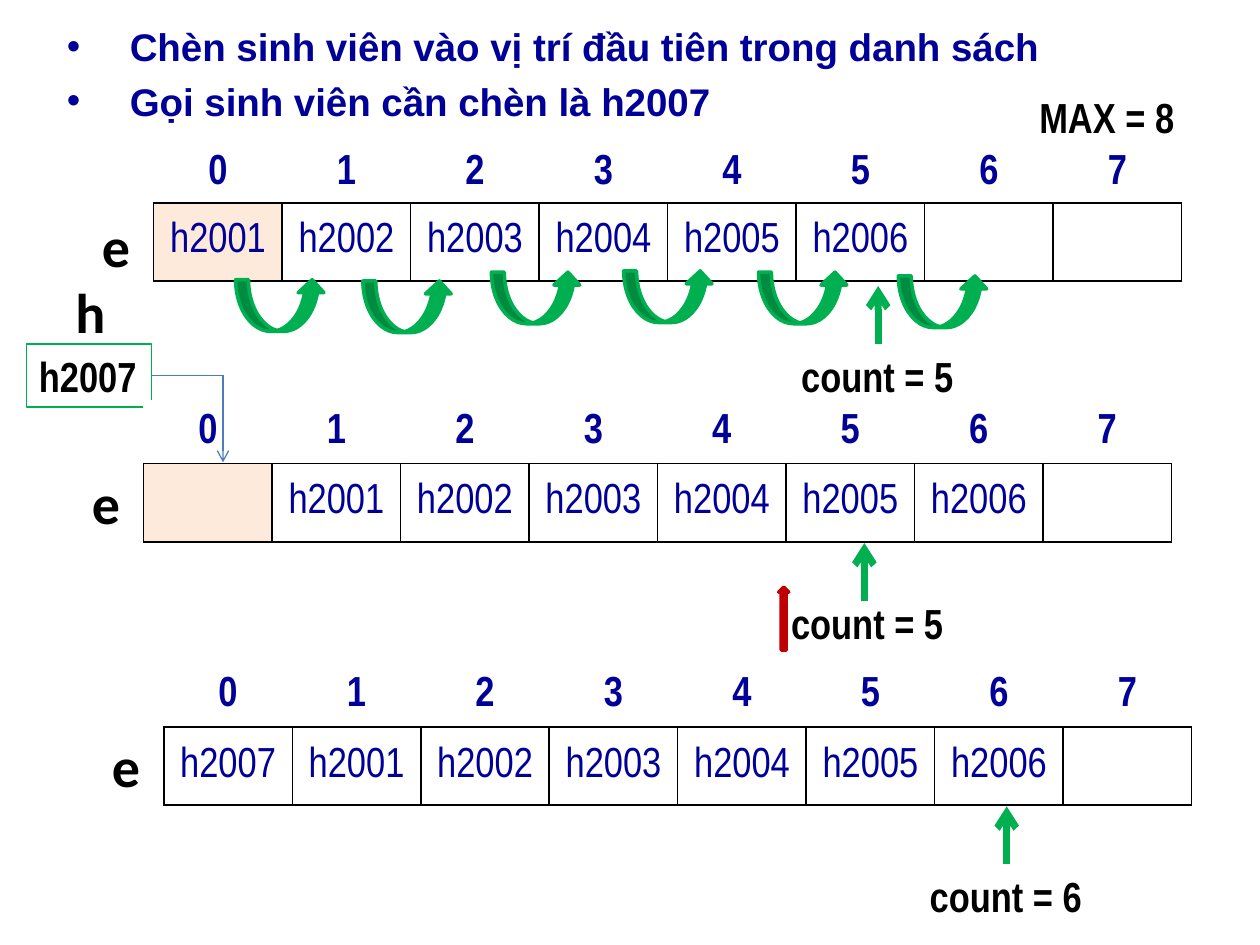
from lxml.etree import SubElement
from pptx import Presentation
from pptx.dml.color import RGBColor
from pptx.enum.shapes import MSO_CONNECTOR, MSO_SHAPE
from pptx.enum.text import MSO_ANCHOR, MSO_AUTO_SIZE, PP_ALIGN
from pptx.oxml.ns import qn
from pptx.util import Inches, Pt

NAVY, BLACK, WHITE, PEACH = "000099", "000000", "FFFFFF", "FDEADA"
GREEN, RED, BLUE = "00B050", "C00000", "4B7EBC"


def color(value):
    """Turn a hex string into a colour."""
    return RGBColor.from_string(value)


class ArraySlide:
    """Holds the slide and draws elements in its style."""

    narrow = "Arial Narrow"
    column_width = 1.02
    row_heights = (0.47, 0.62)

    def __init__(self, presentation):
        """Add a slide that keeps only its subtitle placeholder."""
        self.slide = presentation.slides.add_slide(presentation.slide_layouts[0])
        self.shapes = self.slide.shapes
        title = self.shapes.title.element
        title.getparent().remove(title)

    def run(self, paragraph, text, size=24, font=narrow, ink=BLACK, bold=True):
        """Add one formatted run."""
        run = paragraph.add_run()
        run.text = text
        run.font.size, run.font.name, run.font.bold = Pt(size), font, bold
        run.font.color.rgb = color(ink)

    def bullets(self, lines, left, top, width, height):
        """Fill the subtitle placeholder with bulleted lines."""
        shape = self.slide.placeholders[1]
        shape.left, shape.top = Inches(left), Inches(top)
        shape.width, shape.height = Inches(width), Inches(height)
        frame = shape.text_frame
        frame.auto_size = MSO_AUTO_SIZE.NONE
        frame.vertical_anchor = MSO_ANCHOR.TOP
        for index, line in enumerate(lines):
            paragraph = frame.add_paragraph() if index else frame.paragraphs[0]
            paragraph.alignment = PP_ALIGN.JUSTIFY
            paragraph.space_before = Pt(5)
            properties = paragraph._p.get_or_add_pPr()
            properties.set("marL", str(Inches(0.5)))
            properties.set("indent", str(-Inches(0.5)))
            SubElement(properties, qn("a:buFont"), typeface="Arial")
            SubElement(properties, qn("a:buChar"), char="•")
            self.run(paragraph, line, 22, "Arial", NAVY)

    def label(self, text, left, top, width=1.42, height=0.5, size=24, font=narrow):
        """Add a bold text box and return it."""
        shape = self.shapes.add_textbox(
            Inches(left), Inches(top), Inches(width), Inches(height))
        shape.text_frame.word_wrap = True
        self.run(shape.text_frame.paragraphs[0], text, size, font)
        return shape

    def name(self, text, left, top):
        """Add the large name of a variable."""
        self.label(text, left, top, 0.35, 0.64, 32, "Calibri")

    def border(self, cell, sides):
        """Draw thin black borders on the given sides of a cell."""
        properties = cell._tc.get_or_add_tcPr()
        for side in sides:
            line = SubElement(properties, qn(f"a:ln{side}"), w=str(Pt(1)))
            fill = SubElement(line, qn("a:solidFill"))
            SubElement(fill, qn("a:srgbClr"), val=BLACK)

    def array(self, values, left, top, highlight=None):
        """Add a table of indexes over values, with the array name beside it."""
        count = len(values)
        table = self.shapes.add_table(
            2, count, Inches(left), Inches(top), Inches(count * self.column_width),
            Inches(sum(self.row_heights))).table
        table.horz_banding = False
        for column in table.columns:
            column.width = Inches(self.column_width)
        for row, height in zip(table.rows, self.row_heights):
            row.height = Inches(height)
        for index, value in enumerate(values):
            for row, text in enumerate((str(index), value)):
                cell = table.cell(row, index)
                cell.vertical_anchor = MSO_ANCHOR.MIDDLE
                self.border(cell, "LRTB" if row else "B")
                cell.fill.solid()
                marked = row == 1 and index == highlight
                cell.fill.fore_color.rgb = color(PEACH if marked else WHITE)
                paragraph = cell.text_frame.paragraphs[0]
                paragraph.alignment = PP_ALIGN.CENTER
                if text:
                    self.run(paragraph, text, ink=NAVY, bold=row == 0)
        self.name("e", left - 0.51, top + 0.49)

    def line(self, start, end, ink, width, arrow=True):
        """Add a straight line, with an arrowhead at its end if wanted."""
        points = [Inches(value) for value in (*start, *end)]
        connector = self.shapes.add_connector(MSO_CONNECTOR.STRAIGHT, *points)
        connector.line.color.rgb = color(ink)
        connector.line.width = Pt(width)
        if arrow:
            SubElement(connector.line._get_or_add_ln(), qn("a:tailEnd"), type="arrow")
        SubElement(connector._element.spPr, qn("a:effectLst"))

    def pointer(self, x, top):
        """Add the upward arrow that marks the count."""
        self.line((x, top + 0.46), (x, top), GREEN, 4)

    def block_arrow(self, kind, left, top, width, height, ink):
        """Add a filled preset arrow."""
        shape = self.shapes.add_shape(
            kind, Inches(left), Inches(top), Inches(width), Inches(height))
        shape.shadow.inherit = False
        shape.fill.solid()
        shape.fill.fore_color.rgb = color(ink)
        shape.line.color.rgb = color(ink)
        shape.line.width = Pt(2)


def main():
    """Build the slide about inserting at the front of an array."""
    presentation = Presentation()
    presentation.slide_width, presentation.slide_height = Inches(10), Inches(7.5)
    page = ArraySlide(presentation)
    students = [f"h200{number}" for number in range(1, 7)]

    page.bullets(["Chèn sinh viên vào vị trí đầu tiên trong danh sách",
                  "Gọi sinh viên cần chèn là h2007"], 0.43, 0.13, 9.21, 0.87)

    page.array(students + ["", ""], 1.22, 1.14, highlight=0)
    page.label("MAX = 8", 8.15, 0.68)
    page.label("count = 5", 6.26, 2.73)
    page.pointer(6.97, 2.27)
    page.name("h", 0.5, 2.15)
    new_student = page.label("h2007", 0.21, 2.73, 0.99)
    new_student.line.color.rgb = color(GREEN)
    new_student.line.width = Pt(0.75)
    page.block_arrow(MSO_SHAPE.UP_ARROW, 6.18, 4.66, 0.08, 0.5, RED)

    page.array([""] + students + [""], 1.14, 3.21 - 0.03, highlight=0)
    page.label("count = 5", 6.18, 4.69)
    page.pointer(6.86, 4.31)
    page.line((1.21, 2.98), (1.77, 2.98), BLUE, 0.75, arrow=False)
    page.line((1.77, 2.98), (1.77, 3.67), BLUE, 0.75)

    page.array(["h2007"] + students + [""], 1.3, 5.27)
    page.label("count = 6", 7.28, 6.86)
    page.pointer(7.99, 6.4)

    shifts = [(1.87, 2.22), (2.88, 2.23), (3.9, 2.16),
              (4.95, 2.15), (6.02, 2.16), (7.13, 2.19)]
    for left, top in shifts:
        page.block_arrow(MSO_SHAPE.CURVED_UP_ARROW, left, top, 0.71, 0.41, GREEN)

    presentation.save("out.pptx")


main()
